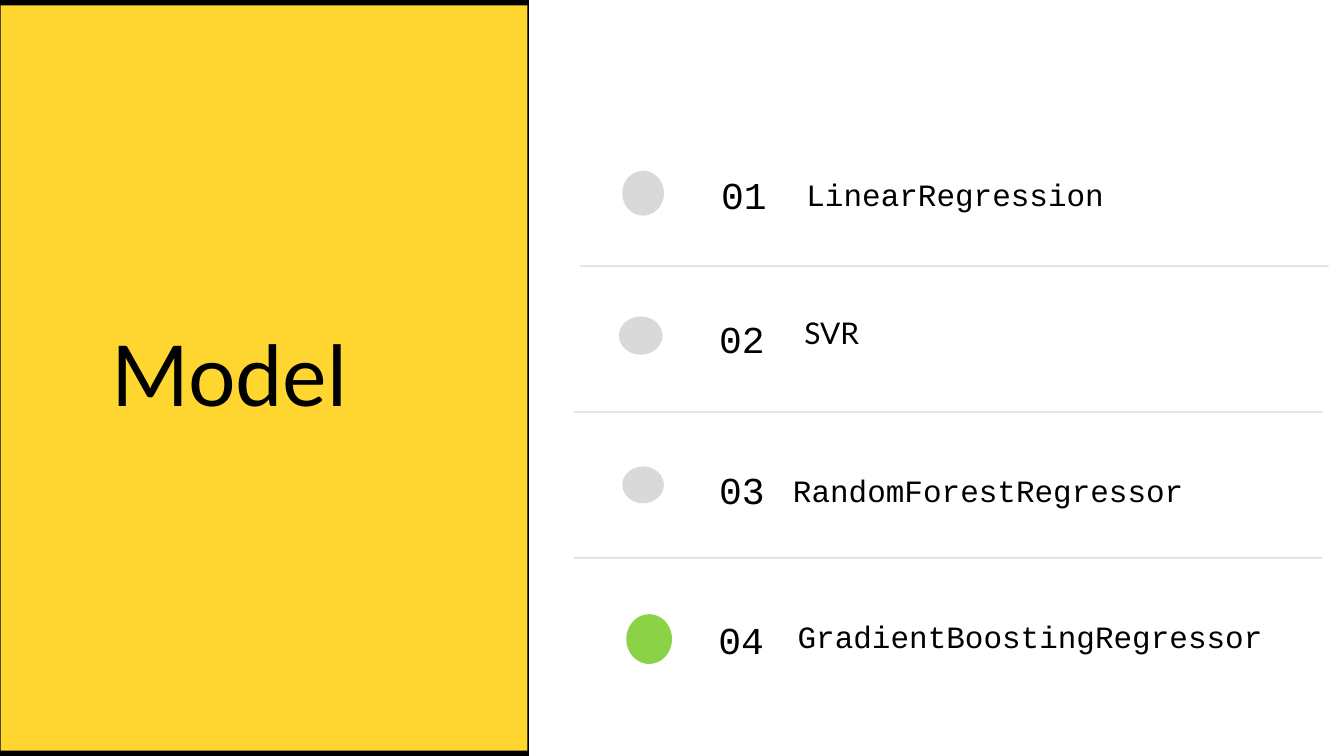
from dataclasses import dataclass

from lxml import etree
from pptx import Presentation
from pptx.dml.color import RGBColor
from pptx.enum.shapes import MSO_CONNECTOR, MSO_SHAPE as Shape
from pptx.enum.text import PP_ALIGN as Align
from pptx.oxml.ns import qn
from pptx.util import Emu, Pt

SCALE = 9144  # EMU per px, 100 px to the inch


@dataclass(frozen=True)
class Theme:
    ink: str = "000000"
    panel: str = "FFD630"
    idle: str = "D9D9D9"
    chosen: str = "8BD246"
    sans: str = "Lato"
    mono: str = "Courier New"
    title: float = 90
    number: float = 40.7
    label: float = 33.2
    short: float = 32
    rule: float = 2.25


THEME = Theme()


def px(*vals):
    return [Emu(val * SCALE) for val in vals]


def add_text(slide, box, text, font, size, lead=None, align=Align.LEFT):
    frame = slide.shapes.add_textbox(*px(*box)).text_frame
    frame.word_wrap = True
    frame.margin_left = frame.margin_right = 0
    frame.margin_top = frame.margin_bottom = 0
    para = frame.paragraphs[0]
    para.alignment = align
    if lead:
        para.line_spacing = Pt(lead)
    run = para.add_run()
    run.text = text
    run.font.name = font
    run.font.size = Pt(size)
    run.font.color.rgb = RGBColor.from_string(THEME.ink)


def paint(shape, color):
    shape.shadow.inherit = False
    shape.fill.solid()
    shape.fill.fore_color.rgb = RGBColor.from_string(color)
    shape.line.fill.background()


def add_rule(slide, left, top, width):
    ends = px(left, top, left + width, top)
    rule = slide.shapes.add_connector(MSO_CONNECTOR.STRAIGHT, *ends)
    rule.line.width = Pt(THEME.rule)
    rule.line.color.rgb = RGBColor.from_string(THEME.ink)
    props = rule._element.spPr
    color = props.find(".//" + qn("a:srgbClr"))
    etree.SubElement(color, qn("a:alpha")).set("val", "10000")
    etree.SubElement(props, qn("a:effectLst"))


def add_frame(slide, box):
    left, top, width, height = box
    right, base = left + width, top + height
    # Thick bars above and below, thin edges at the sides
    x1, y1, x2, y2 = left + 1, top + 8, right - 2, base - 8
    pen = slide.shapes.build_freeform(left, top, scale=SCALE)
    pen.add_line_segments([(right, top), (right, base), (left, base)])
    pen.move_to(x1, y1)
    pen.add_line_segments([(x1, y2), (x2, y2), (x2, y1)])
    paint(pen.convert_to_shape(), THEME.ink)


def add_panel(slide, box):
    left, top, width, height = box
    inner = px(left, top + 4, width - 1, height - 8)
    paint(slide.shapes.add_shape(Shape.RECTANGLE, *inner), THEME.panel)
    add_frame(slide, box)
    add_text(slide, (left + 166, top + 480, 609, 152), "Model",
             THEME.sans, THEME.title, lead=108)


def add_row(slide, box, num, name, dot, num_at, name_at, color=THEME.idle,
            font=THEME.mono, size=THEME.label, lead=43.1, wide=701, ruled=True):
    left, top, width, height = box
    x, y, *span = dot
    paint(slide.shapes.add_shape(Shape.OVAL, *px(left + x, top + y, *span)), color)
    add_text(slide, (left + num_at[0], top + num_at[1], 104, 72), f"{num:02}",
             THEME.mono, THEME.number, lead=52.9, align=Align.CENTER)
    add_text(slide, (left + name_at[0], top + name_at[1], wide, 59), name,
             font, size, lead=lead)
    if ruled:
        add_rule(slide, left, top + height, width)


def add_list(slide, box):
    left, top, width, height = box
    step = height // 4
    # Name, left shift, dot box, number and name offsets, own format
    rows = [
        ("LinearRegression", 9, (63, 75, 62, 67), (192, 71), (337, 77), {}),
        ("SVR", 0, (67, 75, 65, 57), (198, 68), (343, 72),
         dict(font=THEME.sans, size=THEME.short, lead=None, wide=513)),
        ("RandomForestRegressor", 0, (72, 81, 62, 55), (198, 76), (326, 84), {}),
        ("GradientBoostingRegressor", 0, (78, 84, 68, 74), (197, 82), (333, 85),
         dict(color=THEME.chosen, wide=717, ruled=False)),
    ]
    for i, (name, shift, dot, num_at, name_at, style) in enumerate(rows):
        row = (left + shift, top + i * step, width, step)
        add_row(slide, row, i + 1, name, dot, num_at, name_at, **style)


def main():
    deck = Presentation()
    deck.slide_width, deck.slide_height = px(2000, 1125)
    slide = deck.slides.add_slide(deck.slide_layouts[6])
    add_panel(slide, (0, 0, 787, 1125))
    add_list(slide, (854, 179, 1114, 868))
    deck.save("out.pptx")


if __name__ == "__main__":
    main()
